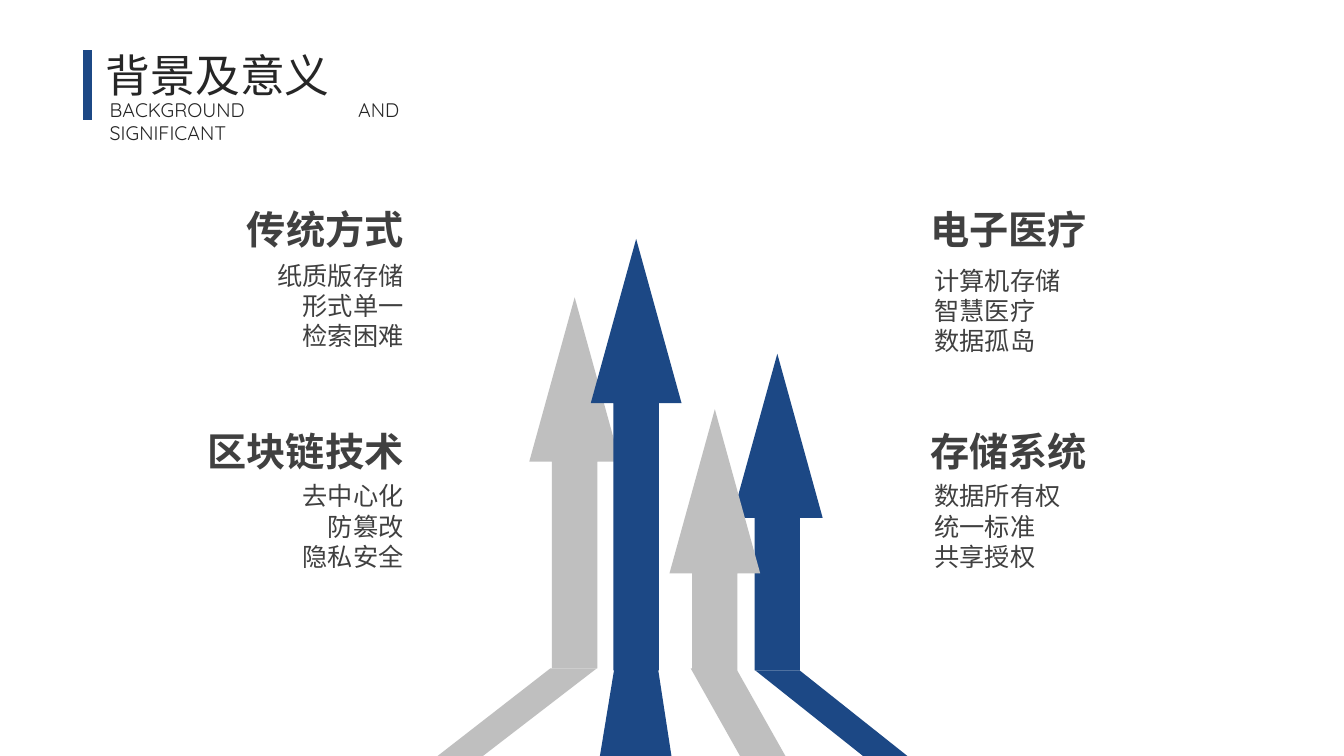
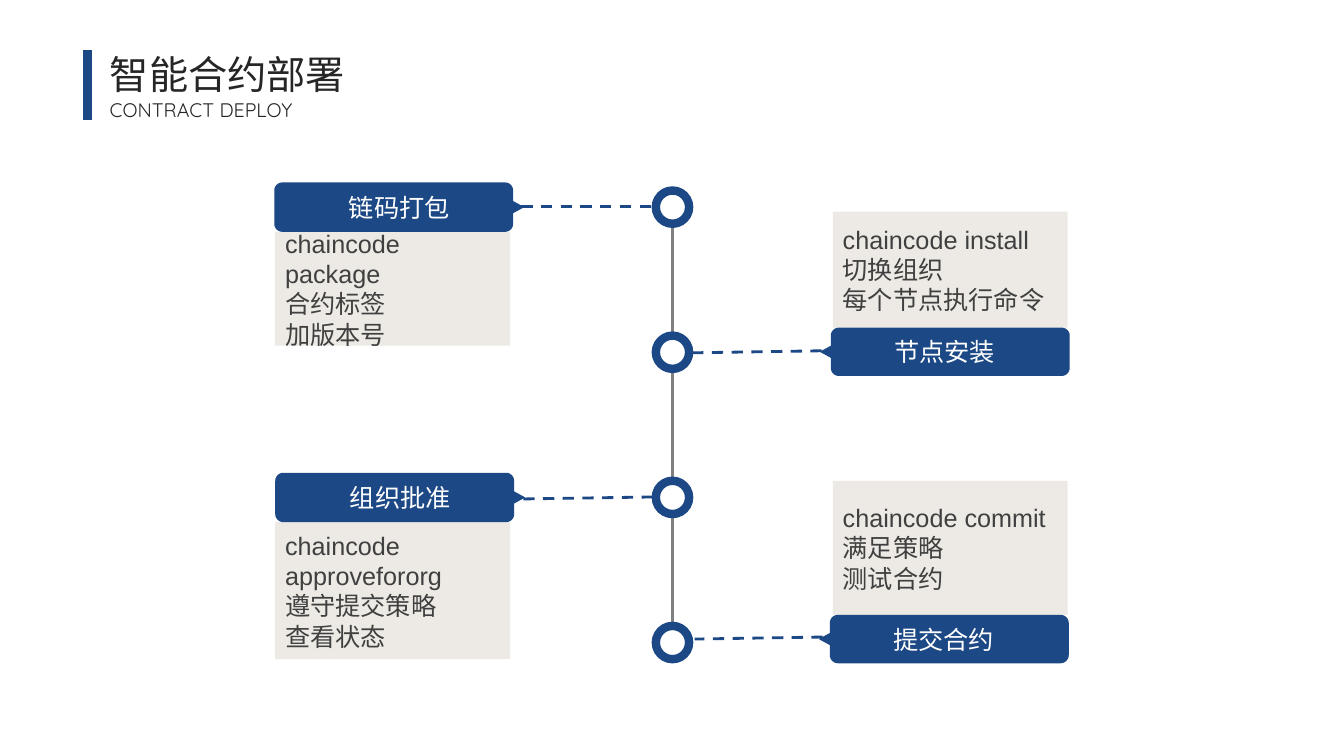
from math import cos, pi, sin

from lxml import etree
from pptx import Presentation
from pptx.dml.color import RGBColor
from pptx.enum.dml import MSO_LINE
from pptx.enum.shapes import MSO_CONNECTOR, MSO_SHAPE
from pptx.enum.text import MSO_ANCHOR, MSO_AUTO_SIZE, PP_ALIGN
from pptx.oxml.ns import qn
from pptx.util import Inches, Pt

UP_ARROW = MSO_SHAPE.UP_ARROW
OVAL = MSO_SHAPE.OVAL
RECTANGLE = MSO_SHAPE.RECTANGLE
STRAIGHT = MSO_CONNECTOR.STRAIGHT
DASH = MSO_LINE.DASH
TOP, MIDDLE = MSO_ANCHOR.TOP, MSO_ANCHOR.MIDDLE
LEFT, CENTER = PP_ALIGN.LEFT, PP_ALIGN.CENTER
RIGHT, JUSTIFY = PP_ALIGN.RIGHT, PP_ALIGN.JUSTIFY
GROW = MSO_AUTO_SIZE.SHAPE_TO_FIT_TEXT

COLORS = {
    "blue": "1C4885",
    "silver": "BFBFBF",
    "sand": "EDEAE5",
    "gray": "808080",
    "title": "262626",
    "body": "404040",
    "white": "FFFFFF",
}
BASE_FONT = "Arial"
CJK_FONT = "Noto Sans CJK SC"
SUBTITLE_FONT = "Quicksand"

ARROWS = [
    (5.25, 2.95, 3.68, "silver"),
    (7.26, 3.51, 3.14, "blue"),
    (6.64, 4.06, 2.59, "silver"),
    (5.86, 2.37, 4.28, "blue"),
]
ROOTS = [
    ([(5.46, 6.63), (5.92, 6.63), (4.79, 7.5), (4.34, 7.5)], "silver"),
    ([(7.49, 6.65), (7.93, 6.65), (9, 7.5), (8.56, 7.5)], "blue"),
    ([(6.1, 6.59), (6.52, 6.59), (6.66, 7.5), (5.95, 7.5)], "blue"),
    ([(6.85, 6.63), (7.3, 6.63), (7.79, 7.5), (7.34, 7.5)], "silver"),
]
TOPICS = [
    ("传统方式", 1.67, 1.99, ["纸质版存储", "形式单一", "检索困难"],
     0.77, 2.53, RIGHT, CJK_FONT),
    ("区块链技术", 1.67, 4.19, ["去中心化", "防篡改", "隐私安全"],
     0.77, 4.72, RIGHT, BASE_FONT),
    ("电子医疗", 8.45, 1.99, ["计算机存储", "智慧医疗", "数据孤岛"],
     9.17, 2.58, JUSTIFY, CJK_FONT),
    ("存储系统", 8.45, 4.19, ["数据所有权", "统一标准", "共享授权"],
     9.17, 4.72, JUSTIFY, CJK_FONT),
]
STEPS = [
    ("链码打包", ["chaincode package", "合约标签", "加版本号"],
     (2.72, 1.81, 0.49), 1.13, (5.17, 2.05), (6.5, 2.05)),
    ("节点安装", ["chaincode install", "切换组织", "每个节点执行命令"],
     (8.13, 3.25, 0.48), 1.15, (8.15, 3.48), (6.87, 3.5)),
    ("组织批准", ["chaincode approvefororg", "遵守提交策略", "查看状态"],
     (2.73, 4.69, 0.49), 1.36, (5.19, 4.95), (6.49, 4.93)),
    ("提交合约", ["chaincode commit", "满足策略", "测试合约"],
     (8.12, 6.1, 0.48), 1.33, (8.16, 6.32), (6.89, 6.34)),
]
SPINE_X = 6.67
NODE_SIZE = 0.33
NODE_TOP, NODE_STEP = 1.89, 1.44
LABEL_WIDTH = 2.48


def rgb(name):
    """Return the named palette colour."""
    return RGBColor.from_string(COLORS[name])


def box(*lengths):
    """Convert lengths in inches."""
    return [Inches(length) for length in lengths]


def write(tf, lines, size, color, align, font=BASE_FONT, bold=False, anchor=TOP):
    """Write one paragraph per line in a common style."""
    tf.word_wrap = True
    tf.vertical_anchor = anchor
    for i, line in enumerate(lines):
        p = tf.add_paragraph() if i else tf.paragraphs[0]
        p.alignment = align
        r = p.add_run()
        r.text = line
        r.font.name = font
        r.font.size = Pt(size)
        r.font.bold = bold
        r.font.color.rgb = rgb(color)
        ea = etree.SubElement(r.font._element, qn("a:ea"))
        ea.set("typeface", CJK_FONT)


def add_text(s, at, lines, size, color, align, **style):
    """Add a text box that grows with its text."""
    tf = s.shapes.add_textbox(*box(*at)).text_frame
    write(tf, lines, size, color, align, **style)
    tf.auto_size = GROW


def paint(sp, fill, line=None, width=0):
    """Give a shape a plain fill and an optional outline."""
    sp.shadow.inherit = False
    sp.fill.solid()
    sp.fill.fore_color.rgb = rgb(fill)
    if line:
        sp.line.color.rgb = rgb(line)
        sp.line.width = Pt(width)
    else:
        sp.line.fill.background()


def add_shape(s, kind, at, fill, line=None, width=0):
    """Add a painted preset shape."""
    sp = s.shapes.add_shape(kind, *box(*at))
    paint(sp, fill, line, width)
    return sp


def add_outline(s, points, fill):
    """Add a painted closed polygon."""
    points = [box(*point) for point in points]
    builder = s.shapes.build_freeform(*points[0], scale=1.0)
    builder.add_line_segments(points[1:], close=True)
    sp = builder.convert_to_shape()
    paint(sp, fill)
    return sp


def add_line(s, start, end, color, width, dash=None):
    """Add a straight line without a shadow."""
    line = s.shapes.add_connector(STRAIGHT, *box(*start, *end))
    line.line.color.rgb = rgb(color)
    line.line.width = Pt(width)
    if dash:
        line.line.dash_style = dash
    etree.SubElement(line._element.spPr, qn("a:effectLst"))


def add_label(s, text, left, top, height, mirrored):
    """Add a rounded label whose side tip points at the timeline."""
    radius, tip, half_tip = 0.08, 0.11, 0.06
    body, middle = LABEL_WIDTH - tip, height / 2
    corners = [
        (radius, radius, pi),
        (body - radius, radius, 1.5 * pi),
        (body - radius, height - radius, 0),
        (radius, height - radius, 0.5 * pi),
    ]
    arcs = [
        [(cx + radius * cos(start + k * pi / 12), cy + radius * sin(start + k * pi / 12))
         for k in range(7)]
        for cx, cy, start in corners
    ]
    pointer = [(body, middle - half_tip), (LABEL_WIDTH, middle), (body, middle + half_tip)]
    outline = arcs[0] + arcs[1] + pointer + arcs[2] + arcs[3]
    points = [(left + (LABEL_WIDTH - x if mirrored else x), top + y) for x, y in outline]
    sp = add_outline(s, points, "blue")
    write(sp.text_frame, [text], 18, "white", CENTER, anchor=MIDDLE)


def add_titled_slide(prs, title, title_at, size, align, subtitle, subtitle_width):
    """Add a slide with the shared bar, title and subtitle."""
    s = prs.slides.add_slide(prs.slide_layouts[5])
    sp = s.shapes.title
    sp.left, sp.top, sp.width, sp.height = box(*title_at)
    write(sp.text_frame, [title], size, "title", align)
    add_text(s, (0.99, 0.92, subtitle_width, 0.34), [subtitle], 14, "title", JUSTIFY,
             font=SUBTITLE_FONT)
    add_line(s, (0.87, 0.5), (0.87, 1.19), "blue", 6)
    return s


def build_background(prs):
    """Build the slide with rising arrows and four topics."""
    s = add_titled_slide(prs, "背景及意义", (0.87, 0.42, 2.58, 0.64), 32, CENTER,
                         "BACKGROUND AND SIGNIFICANT", 3.07)
    for left, top, height, color in ARROWS:
        sp = add_shape(s, UP_ARROW, (left, top, 0.9, height), color)
        sp.adjustments[0], sp.adjustments[1] = 0.5, 1.81
    for points, color in ROOTS:
        add_outline(s, points, color)
    for heading, left, top, lines, body_left, body_top, align, font in TOPICS:
        add_text(s, (left, top, 2.43, 0.57), [heading], 28, "body", RIGHT, bold=True)
        add_text(s, (body_left, body_top, 3.33, 1.01), lines, 18, "body", align, font=font)


def build_deployment(prs):
    """Build the slide with the four-step timeline."""
    s = add_titled_slide(prs, "智能合约部署", (0.99, 0.45, 2.78, 0.57), 28, LEFT,
                         "CONTRACT DEPLOY", 2.1)
    add_line(s, (SPINE_X, NODE_TOP), (SPINE_X, 6.54), "gray", 2)
    for i, (label, lines, label_at, height, tip, node) in enumerate(STEPS):
        left, top, label_height = label_at
        on_right = i % 2 == 1
        box_left = 8.26 if on_right else 2.73
        box_top = top - height if on_right else top + label_height
        sp = add_shape(s, RECTANGLE, (box_left, box_top, 2.33, height), "sand")
        write(sp.text_frame, lines, 18, "body", JUSTIFY, anchor=MIDDLE)
        add_shape(s, OVAL, (SPINE_X - NODE_SIZE / 2, NODE_TOP + i * NODE_STEP,
                            NODE_SIZE, NODE_SIZE), "white", "blue", 6)
        add_label(s, label, left, top, label_height, on_right)
        add_line(s, tip, node, "blue", 2, DASH)


def main():
    """Build and save the presentation."""
    prs = Presentation()
    prs.slide_width, prs.slide_height = box(13.33, 7.5)
    build_background(prs)
    build_deployment(prs)
    prs.save("out.pptx")


if __name__ == "__main__":
    main()
